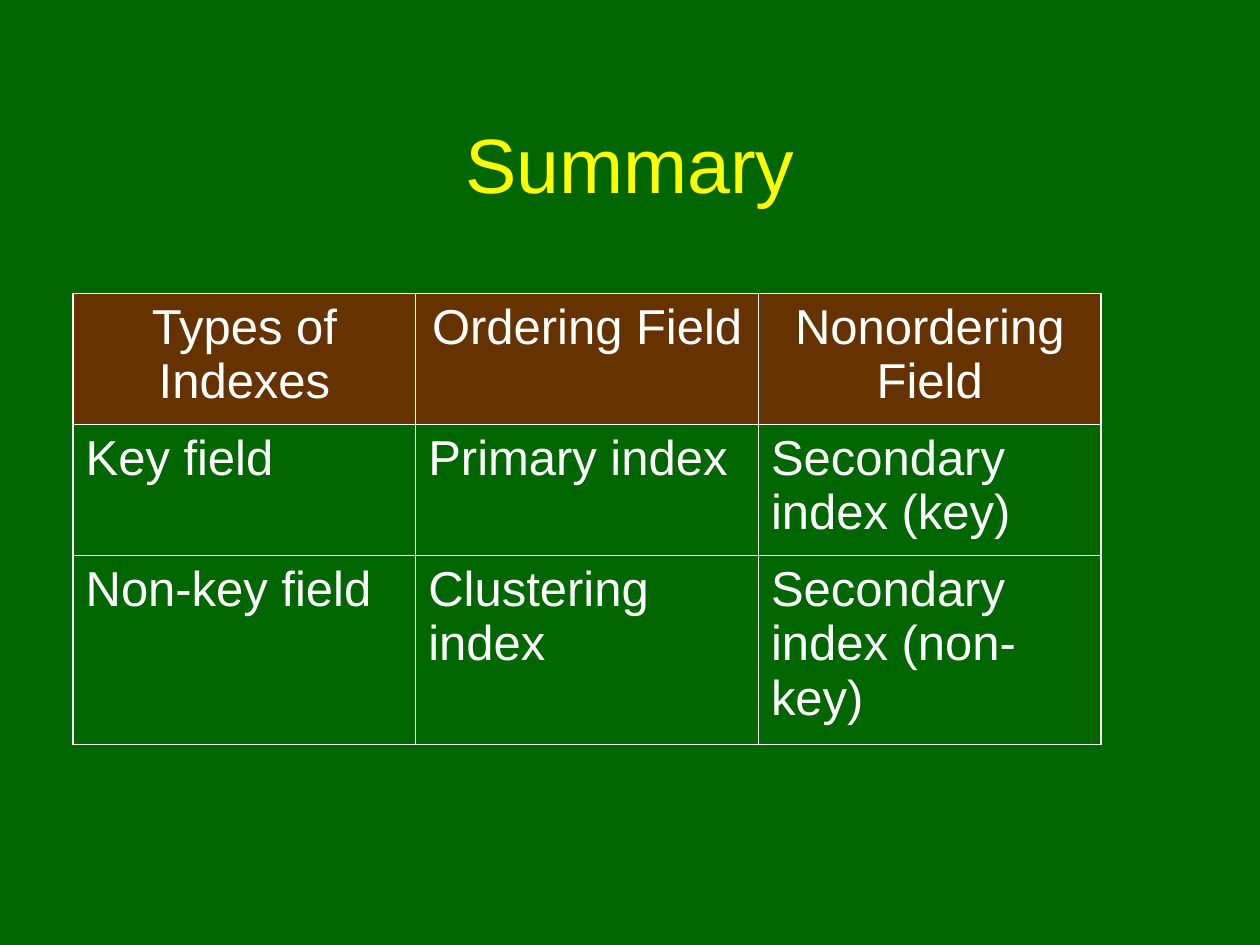
from dataclasses import dataclass

from lxml.etree import SubElement
from pptx import Presentation
from pptx.dml.color import RGBColor
from pptx.enum.text import MSO_ANCHOR, PP_ALIGN
from pptx.oxml.ns import qn
from pptx.util import Inches, Pt

GREEN = RGBColor(0x00, 0x66, 0x00)
BROWN = RGBColor(0x66, 0x33, 0x00)
YELLOW = RGBColor(0xFF, 0xFF, 0x00)
WHITE = RGBColor(0xFF, 0xFF, 0xFF)
FONT = "Arial"
OUTER_LINE = Pt(1.08)
INNER_LINE = Pt(0.45)
COLUMN_WIDTH = 2.72


@dataclass(frozen=True)
class TableRow:
    height: float
    texts: tuple[str, ...]
    is_header: bool = False


INDEX_ROWS = (
    TableRow(1.04, ("Types of Indexes", "Ordering Field", "Nonordering Field"), True),
    TableRow(1.04, ("Key field", "Primary index", "Secondary index (key)")),
    TableRow(1.5, ("Non-key field", "Clustering index", "Secondary index (non-key)")),
)


def format_paragraph(para, size: float, color: RGBColor, alignment: PP_ALIGN) -> None:
    para.alignment = alignment
    for span in para.runs:
        span.font.name = FONT
        span.font.size = Pt(size)
        span.font.color.rgb = color


def add_title(page, text: str) -> None:
    title = page.shapes.title
    title.left, title.top = Inches(0.75), Inches(0.67)
    title.width, title.height = Inches(8.5), Inches(1.25)
    title.text_frame.text = text
    title.text_frame.vertical_anchor = MSO_ANCHOR.MIDDLE
    format_paragraph(title.text_frame.paragraphs[0], 44, YELLOW, PP_ALIGN.CENTER)


def add_borders(cell, outer_sides: dict[str, bool]) -> None:
    properties = cell._tc.get_or_add_tcPr()
    for side, is_outer in outer_sides.items():
        width = OUTER_LINE if is_outer else INNER_LINE
        line = SubElement(properties, qn(f"a:ln{side}"), w=str(width))
        fill = SubElement(line, qn("a:solidFill"))
        SubElement(fill, qn("a:srgbClr"), val=str(WHITE))


def add_index_table(page, rows: tuple[TableRow, ...]) -> None:
    column_count = len(rows[0].texts)
    frame = page.shapes.add_table(
        len(rows), column_count, Inches(0.58), Inches(2.33),
        Inches(COLUMN_WIDTH * column_count), Inches(sum(row.height for row in rows)),
    )
    table = frame.table
    table.horz_banding = False
    for column in table.columns:
        column.width = Inches(COLUMN_WIDTH)
    for row_index, row in enumerate(rows):
        table.rows[row_index].height = Inches(row.height)
        for column_index, text in enumerate(row.texts):
            cell = table.cell(row_index, column_index)
            add_borders(cell, {
                "L": column_index == 0,
                "R": column_index == column_count - 1,
                "T": row_index == 0,
                "B": row_index == len(rows) - 1,
            })
            if row.is_header:
                cell.fill.solid()
                cell.fill.fore_color.rgb = BROWN
            else:
                cell.fill.background()
            cell.text_frame.text = text
            alignment = PP_ALIGN.CENTER if row.is_header else PP_ALIGN.LEFT
            para = cell.text_frame.paragraphs[0]
            format_paragraph(para, 28, WHITE, alignment)
            para.runs[0].font.bold = False


def main() -> None:
    deck = Presentation()
    deck.slide_width, deck.slide_height = Inches(10), Inches(7.5)
    page = deck.slides.add_slide(deck.slide_layouts.get_by_name("Title Only"))
    page.background.fill.solid()
    page.background.fill.fore_color.rgb = GREEN
    add_title(page, "Summary")
    add_index_table(page, INDEX_ROWS)
    deck.save("out.pptx")


if __name__ == "__main__":
    main()
